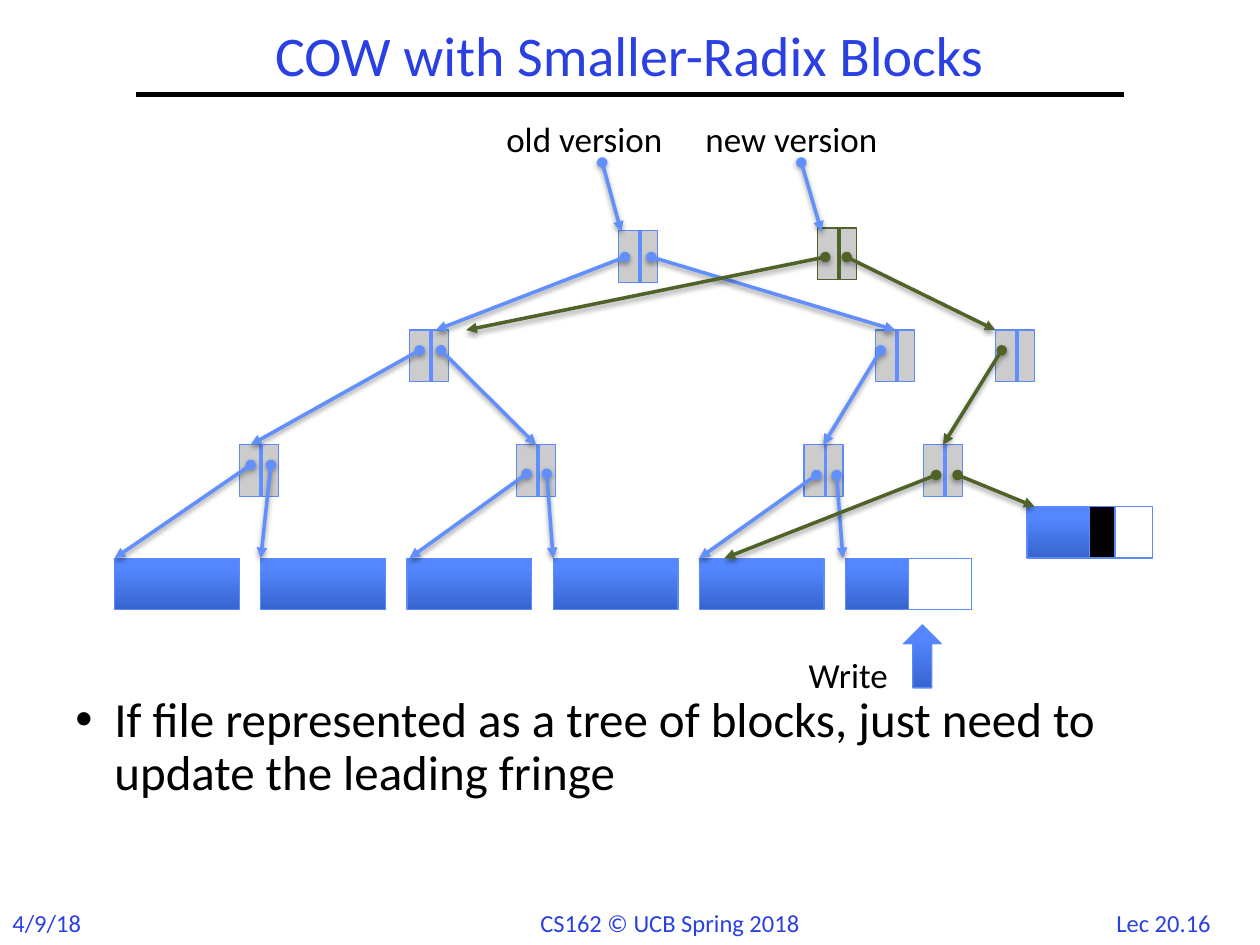
from dataclasses import dataclass
from typing import Optional

from lxml import etree
from pptx import Presentation
from pptx.dml.color import RGBColor
from pptx.enum.shapes import MSO_CONNECTOR, MSO_SHAPE
from pptx.enum.text import MSO_ANCHOR, MSO_AUTO_SIZE, PP_ALIGN
from pptx.oxml.ns import qn
from pptx.util import Emu, Inches, Pt

RECTANGLE, UP_ARROW = MSO_SHAPE.RECTANGLE, MSO_SHAPE.UP_ARROW
STRAIGHT = MSO_CONNECTOR.STRAIGHT
LEFT, CENTER = PP_ALIGN.LEFT, PP_ALIGN.CENTER
TOP, MIDDLE = MSO_ANCHOR.TOP, MSO_ANCHOR.MIDDLE
FIT_SHAPE = MSO_AUTO_SIZE.SHAPE_TO_FIT_TEXT

BLACK = RGBColor(0x00, 0x00, 0x00)
WHITE = RGBColor(0xFF, 0xFF, 0xFF)
HEADING_BLUE = RGBColor(0x2A, 0x40, 0xE2)
EDGE_BLUE = RGBColor(0x5B, 0x8A, 0xFB)
LINK_BLUE = RGBColor(0x61, 0x8F, 0xFD)
NEW_GREEN = RGBColor(0x4F, 0x62, 0x28)
NODE_GRAY = RGBColor(0xCC, 0xCC, 0xCC)
DEEP_BLUE = RGBColor(0x37, 0x64, 0xCE)
BRIGHT_BLUE = RGBColor(0x54, 0x87, 0xFF)

FONT = "Calibri"
COLUMNS, ROWS = 100, 75
NODE_WIDTH, BLOCK_HEIGHT = 3.1, 4.1
LEAF_LEFT, LEAF_ROW, LEAF_WIDTH, LEAF_PITCH, LEAF_COUNT = 9.1, 44.3, 9.9, 11.6, 6
ROOT_ROW, BRANCH_ROW, PARENT_ROW = 18.3, 26.2, 35.3

prs = Presentation()
prs.slide_width, prs.slide_height = Inches(10), Inches(7.5)
slide = prs.slides.add_slide(prs.slide_layouts[6])


@dataclass(frozen=True)
class Label:
    text: str
    left: float
    top: float
    width: float
    height: float
    size: int
    color: RGBColor = BLACK
    align: PP_ALIGN = LEFT
    anchor: MSO_ANCHOR = TOP
    wrap: bool = False
    line_spacing: float = 1.0


@dataclass(frozen=True)
class Node:
    left: float
    top: float
    slots: tuple[float, ...]
    slot_row: float
    edge: RGBColor = EDGE_BLUE
    divider: RGBColor = LINK_BLUE


@dataclass(frozen=True)
class Link:
    source: str
    slot: int
    column: float
    row: float
    color: RGBColor = LINK_BLUE
    target: Optional[str] = None


def col(columns: float) -> Emu:
    return Emu(round(prs.slide_width * columns / COLUMNS))


def row(rows: float) -> Emu:
    return Emu(round(prs.slide_height * rows / ROWS))


def add_label(label: Label):
    box = slide.shapes.add_textbox(
        col(label.left), row(label.top), col(label.width), row(label.height))
    frame = box.text_frame
    frame.text = label.text
    frame.word_wrap = label.wrap
    frame.vertical_anchor = label.anchor
    if not label.wrap:
        frame.auto_size = FIT_SHAPE
    paragraph = frame.paragraphs[0]
    paragraph.alignment = label.align
    paragraph.line_spacing = label.line_spacing
    font = paragraph.runs[0].font
    font.name, font.size, font.color.rgb = FONT, Pt(label.size), label.color
    return paragraph


def add_bullet(paragraph) -> None:
    properties = paragraph._p.get_or_add_pPr()
    properties.set("marL", str(Inches(0.31)))
    properties.set("indent", str(-Inches(0.31)))
    etree.SubElement(properties, qn("a:buFont"), typeface="Arial")
    etree.SubElement(properties, qn("a:buChar"), char="•")


def add_block(left: float, top: float, width: float, height: float = BLOCK_HEIGHT,
              color: Optional[RGBColor] = None, edge: RGBColor = EDGE_BLUE,
              kind: MSO_SHAPE = RECTANGLE):
    block = slide.shapes.add_shape(kind, col(left), row(top), col(width), row(height))
    block.shadow.inherit = False
    if color is None:
        block.fill.gradient()
        block.fill.gradient_angle = 90
        deep, bright = block.fill.gradient_stops
        deep.color.rgb, deep.position = DEEP_BLUE, 0
        bright.color.rgb, bright.position = BRIGHT_BLUE, 0.8
    else:
        block.fill.solid()
        block.fill.fore_color.rgb = color
    block.line.color.rgb = edge
    block.line.width = Pt(0.75)
    return block


def add_line(x1: float, y1: float, x2: float, y2: float, color: RGBColor, weight: float = 2):
    line = slide.shapes.add_connector(STRAIGHT, col(x1), row(y1), col(x2), row(y2))
    line.line.color.rgb = color
    line.line.width = Pt(weight)
    effects = etree.SubElement(line._element.spPr, qn("a:effectLst"))
    return line, effects


def add_arrow(x1: float, y1: float, x2: float, y2: float, color: RGBColor):
    arrow, effects = add_line(x1, y1, x2, y2, color)
    outline = arrow.line._get_or_add_ln()
    etree.SubElement(outline, qn("a:headEnd"), type="oval")
    etree.SubElement(outline, qn("a:tailEnd"), type="triangle")
    shadow = etree.SubElement(effects, qn("a:outerShdw"), blurRad=str(Pt(3.1)),
                              dist=str(Pt(1.6)), dir="5400000", rotWithShape="0")
    shade = etree.SubElement(shadow, qn("a:srgbClr"), val=str(BLACK))
    etree.SubElement(shade, qn("a:alpha"), val="38000")
    return arrow


def add_node(node: Node):
    block = add_block(node.left, node.top, NODE_WIDTH, color=NODE_GRAY, edge=node.edge)
    middle = node.left + 1.7
    add_line(middle, node.top, middle, node.top + BLOCK_HEIGHT, node.divider)
    return block


def leaf_left(index: int) -> float:
    return LEAF_LEFT + index * LEAF_PITCH


LABELS = [
    Label("Lec 20.16", 87.2, 71.6, 10.3, 3.3, 14, HEADING_BLUE, CENTER),
    Label("4/9/18", 0, 71.6, 10, 3.4, 14, HEADING_BLUE, wrap=True),
    Label("CS162 © UCB Spring 2018", 41.9, 71.6, 23.6, 3.4, 14, HEADING_BLUE),
    Label("COW with Smaller-Radix Blocks", 10.8, 1.7, 78.3, 5.8, 32,
          HEADING_BLUE, CENTER, MIDDLE, True, 0.9),
    Label("Write", 63.2, 51.4, 9.7, 4.4, 20),
    Label("old version", 39.2, 8.8, 14.7, 4.4, 20),
    Label("new version", 55, 8.8, 15.8, 4.4, 20),
]
SUMMARY = Label("If file represented as a tree of blocks, just need to update the leading fringe",
                5, 54.7, 90, 14.3, 28, wrap=True, line_spacing=0.9)

NODES = {
    "old root": Node(49.1, ROOT_ROW, (0.5, 2.6), 2.1),
    "left branch": Node(32.5, BRANCH_ROW, (0.8, 2.5), 1.6),
    "old right branch": Node(69.5, BRANCH_ROW, (0.4,), 1.6),
    "first parent": Node(19, PARENT_ROW, (0.9, 2.5), 1.6),
    "second parent": Node(41, PARENT_ROW, (0.8, 2.4), 2.3),
    "old third parent": Node(63.8, PARENT_ROW, (1, 2.6), 2.4),
    "new right branch": Node(79, BRANCH_ROW, (0.5,), 1.6),
    "new third parent": Node(73.3, PARENT_ROW, (1, 2.7), 2.4),
    "new root": Node(64.9, 18.1, (0.6, 2.3), 2.3, NEW_GREEN, NEW_GREEN),
}
LINKS = [
    Link("old root", 0, 34.6, BRANCH_ROW),
    Link("left branch", 0, 19.9, PARENT_ROW),
    Link("left branch", 1, 42.6, PARENT_ROW, target="second parent"),
    Link("old root", 1, 71, BRANCH_ROW, target="old right branch"),
    Link("old right branch", 0, 65.4, PARENT_ROW, target="old third parent"),
    Link("first parent", 0, leaf_left(0), LEAF_ROW),
    Link("first parent", 1, leaf_left(1), LEAF_ROW),
    Link("second parent", 0, leaf_left(2) + 0.2, LEAF_ROW),
    Link("second parent", 1, leaf_left(3), LEAF_ROW),
    Link("old third parent", 0, leaf_left(4), LEAF_ROW),
    Link("old third parent", 1, leaf_left(5) - 0.2, LEAF_ROW),
    Link("new right branch", 0, 74.9, PARENT_ROW, NEW_GREEN, "new third parent"),
    Link("new third parent", 0, 57.5, LEAF_ROW, NEW_GREEN),
    Link("new third parent", 1, 82.1, 40.2, NEW_GREEN),
    Link("new root", 0, 37, BRANCH_ROW, NEW_GREEN),
    Link("new root", 1, 79, BRANCH_ROW, NEW_GREEN),
]


def main() -> None:
    add_line(10.8, 7.5, 89.2, 7.5, BLACK, 3)
    for label in LABELS:
        add_label(label)
    add_bullet(add_label(SUMMARY))

    for index in range(LEAF_COUNT):
        add_block(leaf_left(index), LEAF_ROW, LEAF_WIDTH)
    add_block(72.1, LEAF_ROW, 5, color=WHITE)
    add_block(71.7, 49.6, 3, 5, kind=UP_ARROW)
    add_block(81.5, 40.2, LEAF_WIDTH)
    add_block(86.5, 40.2, 5, color=WHITE)
    add_block(86.5, 40.2, 2, color=BLACK)

    blocks = {name: add_node(node) for name, node in NODES.items()}
    for link in LINKS:
        source = NODES[link.source]
        arrow = add_arrow(source.left + source.slots[link.slot], source.top + source.slot_row,
                          link.column, link.row, link.color)
        if link.target:
            arrow.end_connect(blocks[link.target], 0)
    for start, end in ((47.8, 49.3), (63.6, 65.2)):
        add_arrow(start, 12.9, end, 18.4, LINK_BLUE)

    prs.save("out.pptx")


if __name__ == "__main__":
    main()
